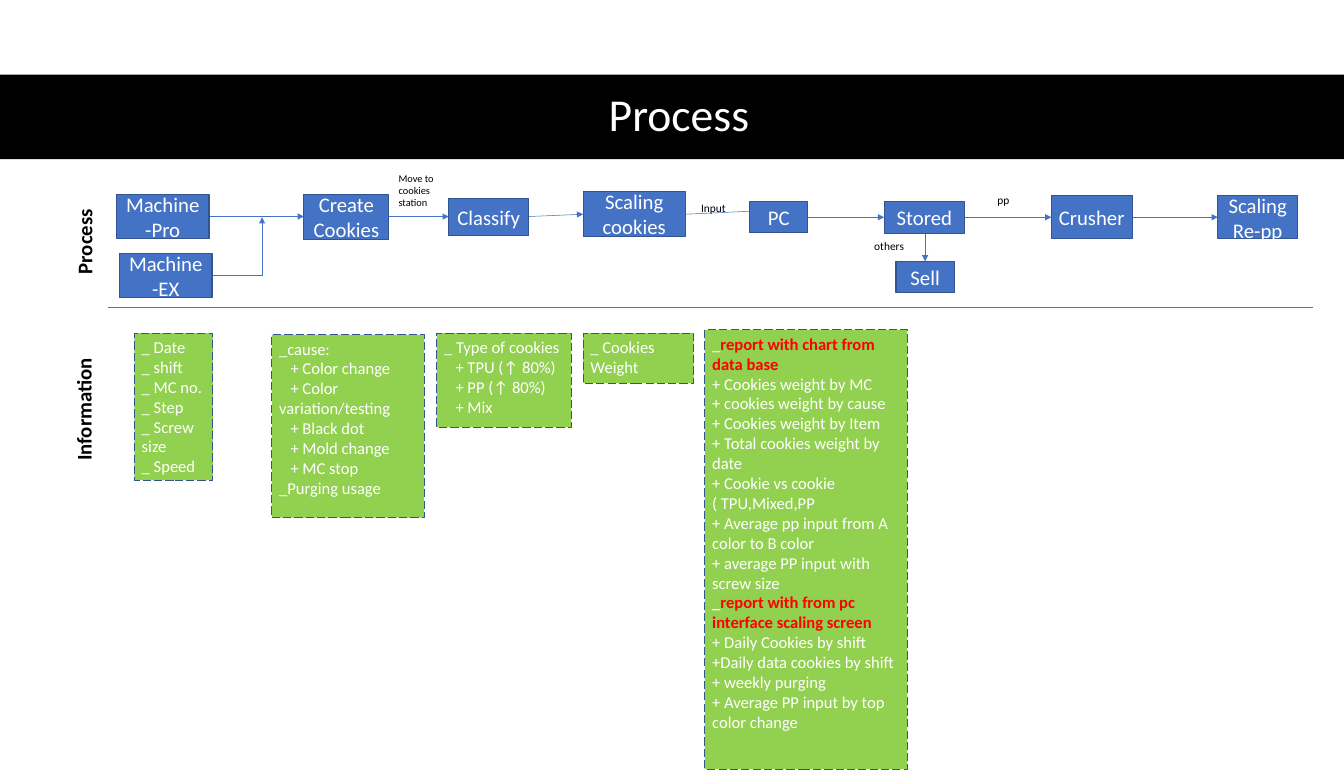
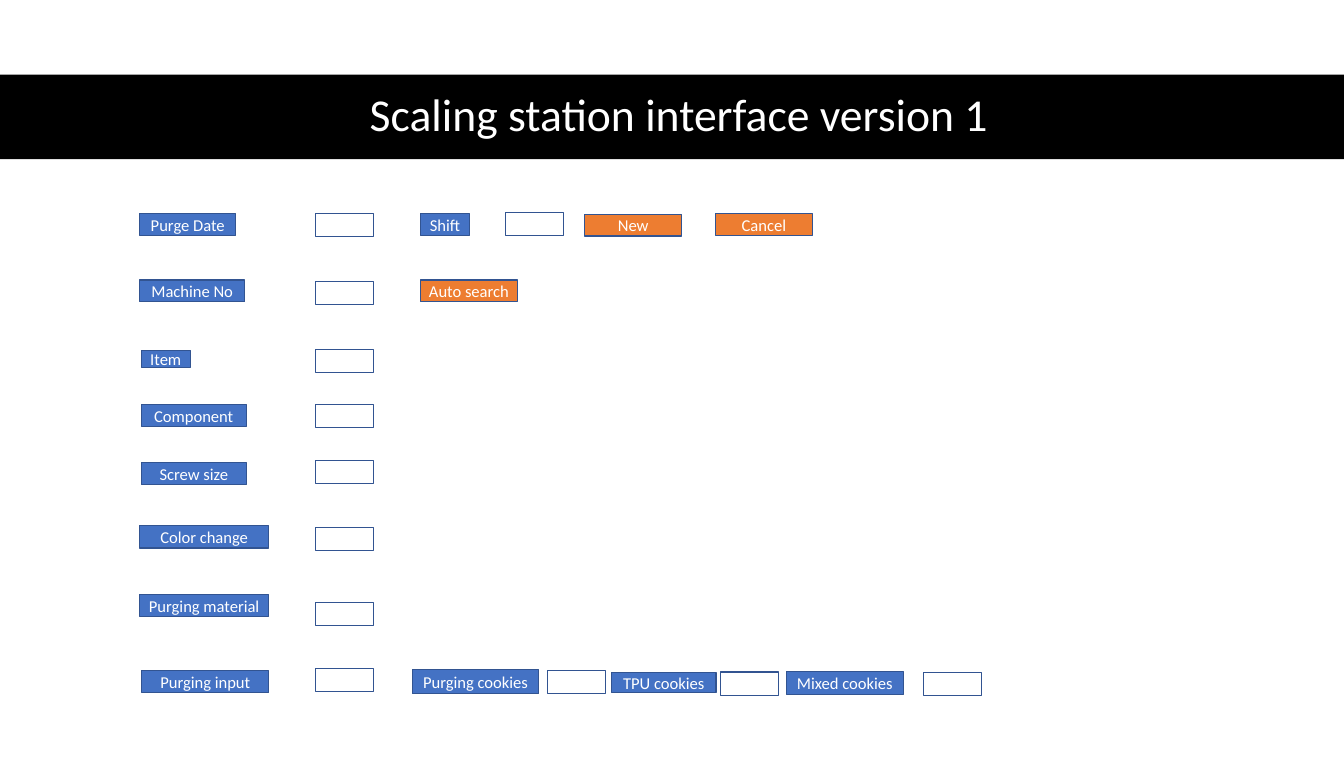
"""Builds two slides: a material process flow and a scaling station form."""
from dataclasses import dataclass
from typing import NamedTuple

from lxml import etree
from pptx import Presentation
from pptx import util as u
from pptx.dml.color import RGBColor
from pptx.enum import dml, shapes, text
from pptx.oxml.ns import qn

Pt = u.Pt


@dataclass(frozen=True)
class Theme:
    """Colours, font and type sizes shared by all pages."""
    font: str = "Calibri"
    black: str = "000000"
    white: str = "FFFFFF"
    blue: str = "4472C4"
    edge: str = "325491"
    green: str = "92D050"
    orange: str = "ED7D31"
    red: str = "FF0000"
    title: int = 44
    step: int = 20
    body: int = 16
    caption: int = 11
    small: int = 10


class Box(NamedTuple):
    """A rectangle in points."""
    left: float
    top: float
    width: float
    height: float

    @property
    def right(self):
        return self.left + self.width

    @property
    def bottom(self):
        return self.top + self.height

    @property
    def centre(self):
        return self.left + self.width / 2

    def place(self, left, top, width, height):
        """Turn a rectangle relative to this box into a page rectangle."""
        return Box(self.left + left, self.top + top, width, height)

    def points(self):
        return [Pt(length) for length in self]


class Heading(NamedTuple):
    """A red bold line after a white underscore."""
    wording: str
    bold_mark: bool


THEME = Theme()
PAGE = Box(0, 0, 1296, 756)
BAND = Box(0, 72, 1296, 81.4)
TITLE = Box(59, 71.3, 1191.6, 82)
CENTRED = {"alignment": text.PP_ALIGN.CENTER}
MIDDLE = {"vertical_anchor": text.MSO_ANCHOR.MIDDLE, "word_wrap": True}
TOP = {"vertical_anchor": text.MSO_ANCHOR.TOP, "word_wrap": True}
GROWING = {"word_wrap": True, "auto_size": text.MSO_AUTO_SIZE.SHAPE_TO_FIT_TEXT}


def apply(target, formats):
    """Set each attribute named in a dict of format values."""
    for name, value in formats.items():
        setattr(target, name, value)


def add_span(para, wording, size, colour, bold=False):
    """Add one formatted run to a paragraph."""
    span = para.add_run()
    span.text = wording
    apply(span.font, {"name": THEME.font, "size": Pt(size), "bold": bold})
    span.font.color.rgb = RGBColor.from_string(colour)


def add_rect(page, box, fill=None, edge=THEME.edge, dash=None):
    """Add a flat rectangle; without a fill it stays see-through."""
    rect = page.shapes.add_shape(shapes.MSO_SHAPE.RECTANGLE, *box.points())
    rect.shadow.inherit = False
    if fill:
        rect.fill.solid()
        rect.fill.fore_color.rgb = RGBColor.from_string(fill)
    else:
        rect.fill.background()
    if edge:
        rect.line.color.rgb = RGBColor.from_string(edge)
        apply(rect.line, {"width": Pt(1), "dash_style": dash})
    else:
        rect.line.fill.background()
    return rect


def add_button(page, box, wording, size, fill=THEME.blue):
    """Add a filled rectangle with centred white text."""
    frame = add_rect(page, box, fill).text_frame
    apply(frame, MIDDLE)
    para = frame.paragraphs[0]
    apply(para, CENTRED)
    add_span(para, wording, size, THEME.white)


def add_label(page, box, wording, size, bold=False, rotation=0):
    """Add black text without a frame."""
    label = page.shapes.add_textbox(*box.points())
    label.rotation = rotation
    apply(label.text_frame, GROWING)
    add_span(label.text_frame.paragraphs[0], wording, size, THEME.black, bold)


def add_line(page, start, end, arrow=True):
    """Add a thin blue line, with an arrowhead at its end if wanted."""
    line = page.shapes.add_connector(
        shapes.MSO_CONNECTOR.STRAIGHT, *[Pt(length) for length in (*start, *end)])
    line.line.color.rgb = RGBColor.from_string(THEME.blue)
    line.line.width = Pt(0.5)
    properties = line._element.spPr
    if arrow:
        etree.SubElement(properties.find(qn("a:ln")), qn("a:tailEnd"), type="triangle")
    etree.SubElement(properties, qn("a:effectLst"))


def add_page(deck, wording):
    """Add a title-only page with the black title band."""
    page = deck.slides.add_slide(deck.slide_layouts[5])
    title = page.shapes.title
    title._element.addprevious(add_rect(page, BAND, THEME.black, edge=None)._element)
    apply(title, dict(zip(("left", "top", "width", "height"), TITLE.points())))
    apply(title.text_frame, {**MIDDLE, "auto_size": text.MSO_AUTO_SIZE.NONE})
    para = title.text_frame.paragraphs[0]
    apply(para, {**CENTRED, "line_spacing": 0.9})
    add_span(para, wording, THEME.title, THEME.white)
    return page


STEPS = {
    "Machine-Pro": (4.3, 25.9, 89.3, 41.8),
    "Create Cookies": (185, 25.2, 82.1, 43.9),
    "Classify": (324.7, 29.5, 77, 36),
    "Scaling cookies": (454.3, 22.3, 98.6, 43.9),
    "PC": (614.9, 32.4, 56.2, 30.2),
    "Stored": (744.5, 32.4, 77.8, 31),
    "Crusher": (905.8, 26.6, 77.8, 41.8),
    "Scaling Re-pp": (1066.3, 26.6, 77, 41.8),
    "Machine-EX": (7.2, 82.8, 89.3, 42.5),
    "Sell": (756, 90, 56.2, 30.2),
}
MAIN_LINE = list(STEPS)[:8]
# Start height, end height and reach into the next step, for each arrow.
ARROWS = [(46.8, 46.8, 0), (46.8, 46.8, 0), (46.8, 44.6, 0), (44.6, 41, 15),
          (47.5, 47.5, 0), (47.5, 47.5, 0), (47.5, 47.5, 0)]
CAPTIONS = [
    ("Move to cookies station", (269.3, 0, 62.6, 43.9), THEME.small),
    ("Input", (560.9, 28.1, 42.5, 20.9), THEME.caption),
    ("others", (727.9, 64.8, 49, 20.9), THEME.caption),
    ("pp", (846.7, 20.9, 44.6, 20.9), THEME.caption),
]


def draw_flow(page, box):
    """Draw the process steps, their arrows and the arrow captions."""
    steps = {name: box.place(*place) for name, place in STEPS.items()}
    for name, following, (start, end, reach) in zip(MAIN_LINE, MAIN_LINE[1:], ARROWS):
        add_line(page, (steps[name].right, box.top + start),
                 (steps[following].left + reach, box.top + end))
    sell, extra = steps["Sell"], steps["Machine-EX"]
    add_line(page, (sell.centre, steps["Stored"].bottom), (sell.centre, sell.top))
    corner = (box.left + 144.7, box.top + 103.7)
    add_line(page, (extra.right, corner[1]), corner, arrow=False)
    add_line(page, corner, (corner[0], box.top + 47.5))
    for name, place in steps.items():
        add_button(page, place, name, THEME.step)
    for wording, place, size in CAPTIONS:
        add_label(page, box.place(*place), wording, size)


# Place, first-line indent of "+" lines, and lines of each note.
NOTES = [
    ((21.6, 3.1, 75.6, 141.8), 0,
     ["_ Date", "_ shift", "_ MC no.", "_ Step", "_ Screw size", "_ Speed"]),
    ((154.1, 4.6, 146.9, 176.4), 11,
     ["_cause:", "+ Color change", "+ Color variation/testing", "+ Black dot",
      "+ Mold change", "+ MC stop", "_Purging usage"]),
    ((313.2, 3.1, 129.6, 90.7), 11,
     ["_ Type of cookies", "+ TPU (↑ 80%)", "+ PP (↑ 80%)", "+ Mix"]),
    ((454.3, 3.1, 106.6, 48.2), 0, ["_ Cookies Weight"]),
    ((571.7, 0, 195.1, 423.4), 0,
     [Heading("report with chart from data base", False),
      "+ Cookies weight by MC", "+ cookies weight by cause",
      "+ Cookies weight by Item", "+ Total cookies weight by date",
      "+ Cookie vs cookie ( TPU,Mixed,PP",
      "+ Average pp input from A color to B color",
      "+ average PP input with screw size",
      Heading("report with from pc interface scaling screen", True),
      "+ Daily Cookies by shift", "+Daily data cookies by shift",
      "+ weekly purging", "+ Average PP input by top color change"]),
]


def draw_notes(page, box):
    """Draw the dashed green notes below the process."""
    for place, indent, lines in NOTES:
        note = add_rect(page, box.place(*place), THEME.green, dash=dml.MSO_LINE.LONG_DASH)
        frame = note.text_frame
        apply(frame, TOP)
        for index, line in enumerate(lines):
            para = frame.add_paragraph() if index else frame.paragraphs[0]
            para.alignment = text.PP_ALIGN.LEFT
            if isinstance(line, Heading):
                add_span(para, "_", THEME.body, THEME.white, line.bold_mark)
                add_span(para, line.wording, THEME.body, THEME.red, True)
                continue
            if indent and line.startswith("+"):
                para._p.get_or_add_pPr().set("indent", str(Pt(indent)))
            add_span(para, line, THEME.body, THEME.white)


# Place, wording and fill of each caption or button on the form.
FORM_BUTTONS = [
    ("Purge Date", (0.6, 1.9, 92.9, 21), THEME.blue),
    ("Machine No", (0.6, 66, 101.5, 21), THEME.blue),
    ("Item", (2.1, 133.7, 47.5, 16.6), THEME.blue),
    ("Component", (2.1, 186.2, 101.5, 21), THEME.blue),
    ("Screw size", (2.1, 242.4, 101.5, 21), THEME.blue),
    ("Color change", (0.6, 302.9, 124.6, 21.6), THEME.blue),
    ("Purging material", (0.6, 369.1, 124.6, 21.6), THEME.blue),
    ("Purging input", (2.8, 442.6, 122.4, 21.6), THEME.blue),
    ("Shift", (271.4, 1.9, 47.5, 21), THEME.blue),
    ("New", (429.8, 2.6, 93.6, 21), THEME.orange),
    ("Cancel", (555.8, 1.9, 93.6, 21), THEME.orange),
    ("Auto search", (271.4, 66, 93.6, 21), THEME.orange),
    ("Purging cookies", (263.4, 441.8, 122.4, 23), THEME.blue),
    ("TPU cookies", (455.7, 444.7, 100.8, 19.4), THEME.blue),
    ("Mixed cookies", (624.2, 444, 113, 21.6), THEME.blue),
]
FIELD_SIZE = (56.2, 22.3)
FIELD_COLUMN = 169.8
FIELD_TOPS = [1.9, 67.4, 133, 186.2, 240.2, 305, 377, 440.4]
SIDE_FIELDS = [(353.4, 1.2), (393.8, 442.6), (560.8, 444), (756.6, 444.7)]


def draw_form(page, box):
    """Draw the form captions, buttons and empty entry fields."""
    for wording, place, fill in FORM_BUTTONS:
        add_button(page, box.place(*place), wording, THEME.body, fill)
    for corner in [(FIELD_COLUMN, top) for top in FIELD_TOPS] + SIDE_FIELDS:
        add_rect(page, box.place(*corner, *FIELD_SIZE))


def build_process(deck):
    """Build the page with the process flow and its information."""
    page = add_page(deck, "Process")
    add_line(page, (104.4, 296.6), (1265.8, 296.6), arrow=False)
    for wording, box in (("Process", Box(37.4, 211.7, 87.8, 31.7)),
                         ("Information", Box(19.4, 374.4, 122.4, 31.7))):
        add_label(page, box, wording, THEME.step, bold=True, rotation=270)
    draw_flow(page, Box(108, 162, 1152, 126))
    draw_notes(page, Box(108, 318.2, 1152, 424))


def build_station(deck):
    """Build the page with the scaling station form."""
    page = add_page(deck, "Scaling station interface version 1")
    draw_form(page, Box(134, 204, 813, 467))


def main():
    """Build and save the deck."""
    deck = Presentation()
    apply(deck, {"slide_width": Pt(PAGE.width), "slide_height": Pt(PAGE.height)})
    build_process(deck)
    build_station(deck)
    deck.save("out.pptx")


main()
